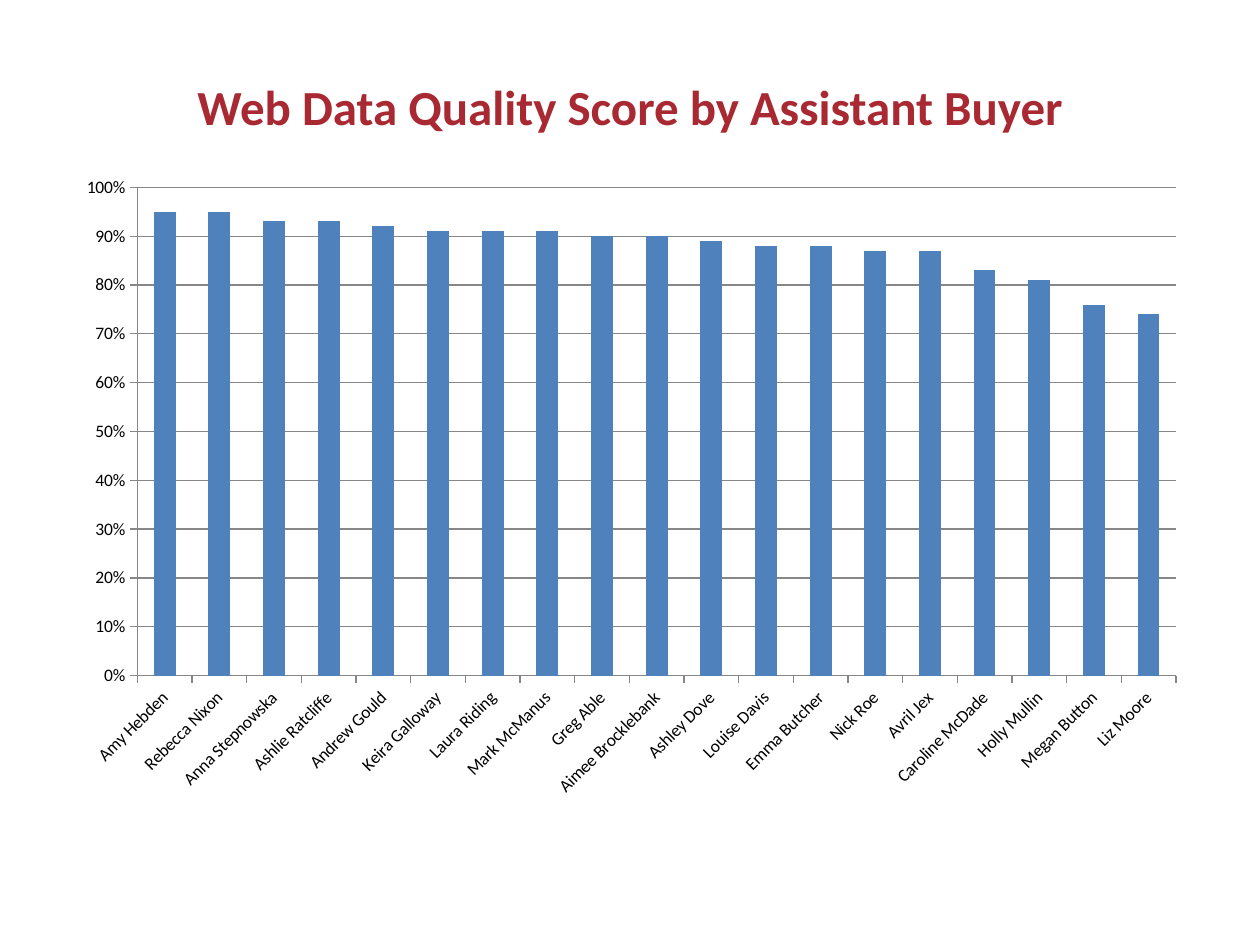
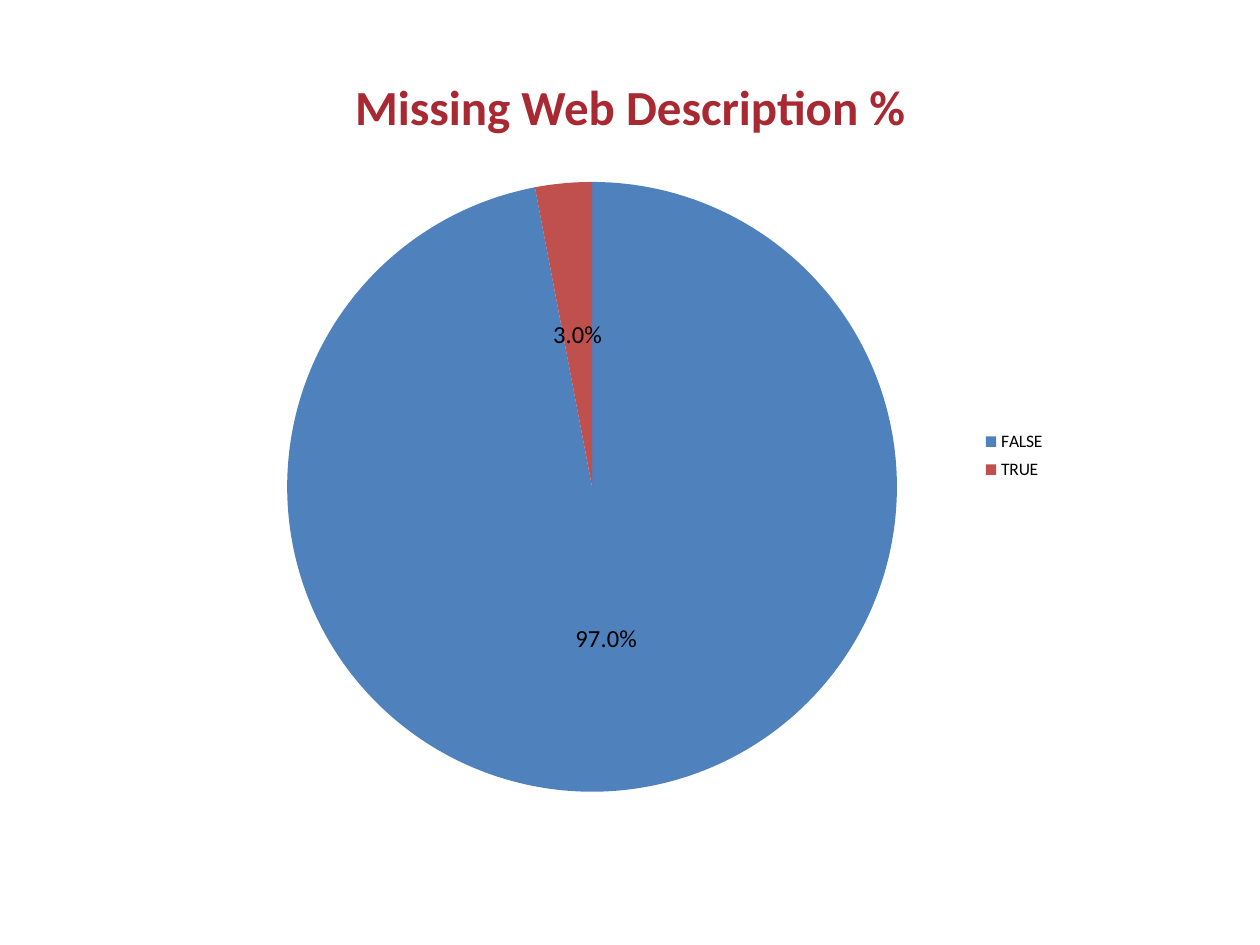
from pptx import Presentation
from pptx.chart.data import CategoryChartData
from pptx.dml.color import RGBColor
from pptx.enum.chart import XL_CHART_TYPE, XL_LABEL_POSITION, XL_LEGEND_POSITION, XL_TICK_MARK
from pptx.enum.text import MSO_ANCHOR, PP_ALIGN
from pptx.oxml import parse_xml
from pptx.oxml.ns import nsdecls
from pptx.util import Pt

FACE = "Calibri"
RED, BLUE, ROSE, GRAY, BLACK = "A92932", "4F81BD", "C0504D", "878787", "000000"
HEAD = (36, 32, 648, 57)
BODY = (36.5, 94.5, 648, 368.5)

SCORES = {
    "Amy Hebden": 0.95, "Rebecca Nixon": 0.95, "Anna Stepnowska": 0.93,
    "Ashlie Ratcliffe": 0.93, "Andrew Gould": 0.92, "Keira Galloway": 0.91,
    "Laura Riding": 0.91, "Mark McManus": 0.91, "Greg Able": 0.9,
    "Aimee Brocklebank": 0.9, "Ashley Dove": 0.89, "Louise Davis": 0.88,
    "Emma Butcher": 0.88, "Nick Roe": 0.87, "Avril Jex": 0.87,
    "Caroline McDade": 0.83, "Holly Mullin": 0.81, "Megan Button": 0.76,
    "Liz Moore": 0.74,
}
MISSING = {"FALSE": 0.97, "TRUE": 0.03}


def color(code):
    """Turn a hex string into a colour."""
    return RGBColor.from_string(code)


def style(font, size, code=BLACK, bold=False):
    """Set the face, size, colour and weight of a font."""
    font.name, font.size, font.bold = FACE, Pt(size), bold
    font.color.rgb = color(code)


def paint(item, code):
    """Fill a chart part with one colour."""
    item.format.fill.solid()
    item.format.fill.fore_color.rgb = color(code)


def layout(box, part, target=""):
    """Make a manual layout for a part given in points within the chart box."""
    inner = f'<c:layoutTarget val="{target}"/>' if target else ""
    modes = '<c:xMode val="edge"/><c:yMode val="edge"/>'
    sizes = "".join(f'<c:{key} val="{val / full}"/>'
                    for key, val, full in zip("xywh", part, box[2:] * 2))
    return parse_xml(f'<c:layout {nsdecls("c")}><c:manualLayout>{inner}{modes}{sizes}'
                     '</c:manualLayout></c:layout>')


def title(slide, box, text):
    """Add the centred slide title."""
    frame = slide.shapes.add_textbox(*map(Pt, box)).text_frame
    frame.word_wrap = True
    frame.vertical_anchor = MSO_ANCHOR.MIDDLE
    frame.text = text
    line = frame.paragraphs[0]
    line.alignment = PP_ALIGN.CENTER
    style(line.runs[0].font, 28, RED, True)


def graph(slide, box, kind, table, plot):
    """Add a chart of one series with a fixed plot area."""
    data = CategoryChartData()
    data.categories = list(table)
    data.add_series("Series 1", list(table.values()))
    chart = slide.shapes.add_chart(kind, *map(Pt, box), data).chart
    chart.has_title = chart.has_legend = False
    style(chart.font, 10)
    area = chart.element.xpath(".//c:plotArea")[0]
    for old in area.xpath("./c:layout"):
        area.remove(old)
    area.insert(0, layout(box, plot, "inner"))
    return chart


def columns(slide, box):
    """Add the column chart of scores by buyer."""
    chart = graph(slide, box, XL_CHART_TYPE.COLUMN_CLUSTERED, SCORES, (42, 12.6, 593.5, 279))
    plot = chart.plots[0]
    plot.gap_width, plot.vary_by_categories = 150, False
    paint(plot.series[0], BLUE)
    scale = chart.value_axis
    scale.minimum_scale, scale.maximum_scale, scale.major_unit = 0, 1, 0.1
    scale.has_major_gridlines = True
    scale.tick_labels.number_format = "0%"
    scale.tick_labels.number_format_is_linked = False
    for axis in (chart.category_axis, scale):
        axis.major_tick_mark = XL_TICK_MARK.OUTSIDE
        axis.minor_tick_mark = XL_TICK_MARK.NONE
        style(axis.tick_labels.font, 10)
    for part in (chart.category_axis, scale, scale.major_gridlines):
        part.format.line.color.rgb = color(GRAY)
    chart.element.xpath(".//c:catAx/c:txPr/a:bodyPr")[0].set("rot", "-2700000")


def pie(slide, box):
    """Add the pie chart of missing descriptions."""
    chart = graph(slide, box, XL_CHART_TYPE.PIE, MISSING, (127.6, 9.5, 348.5, 348.5))
    plot = chart.plots[0]
    plot.vary_by_categories = True
    for spot, code in enumerate((BLUE, ROSE)):
        paint(plot.series[0].points[spot], code)
    plot.has_data_labels = True
    labels = plot.data_labels
    labels.show_value, labels.show_percentage = True, False
    labels.number_format, labels.number_format_is_linked = "0.0%", False
    labels.position = XL_LABEL_POSITION.CENTER
    style(labels.font, 14)
    chart.has_legend = True
    chart.legend.position = XL_LEGEND_POSITION.RIGHT
    chart.legend.include_in_layout = False
    style(chart.legend.font, 10)
    legend = chart.element.xpath(".//c:legend")[0]
    for old in legend.xpath("./c:layout"):
        legend.remove(old)
    place = layout(box, (517, 147.6, 52, 36.6))
    legend.xpath("./c:legendPos")[0].addnext(place)


def main():
    """Build both slides and save them."""
    deck = Presentation()
    deck.slide_width, deck.slide_height = Pt(720), Pt(540)
    pages = (("Web Data Quality Score by Assistant Buyer", columns),
             ("Missing Web Description %", pie))
    for text, draw in pages:
        slide = deck.slides.add_slide(deck.slide_layouts[6])
        title(slide, HEAD, text)
        draw(slide, BODY)
    deck.save("out.pptx")


if __name__ == "__main__":
    main()
